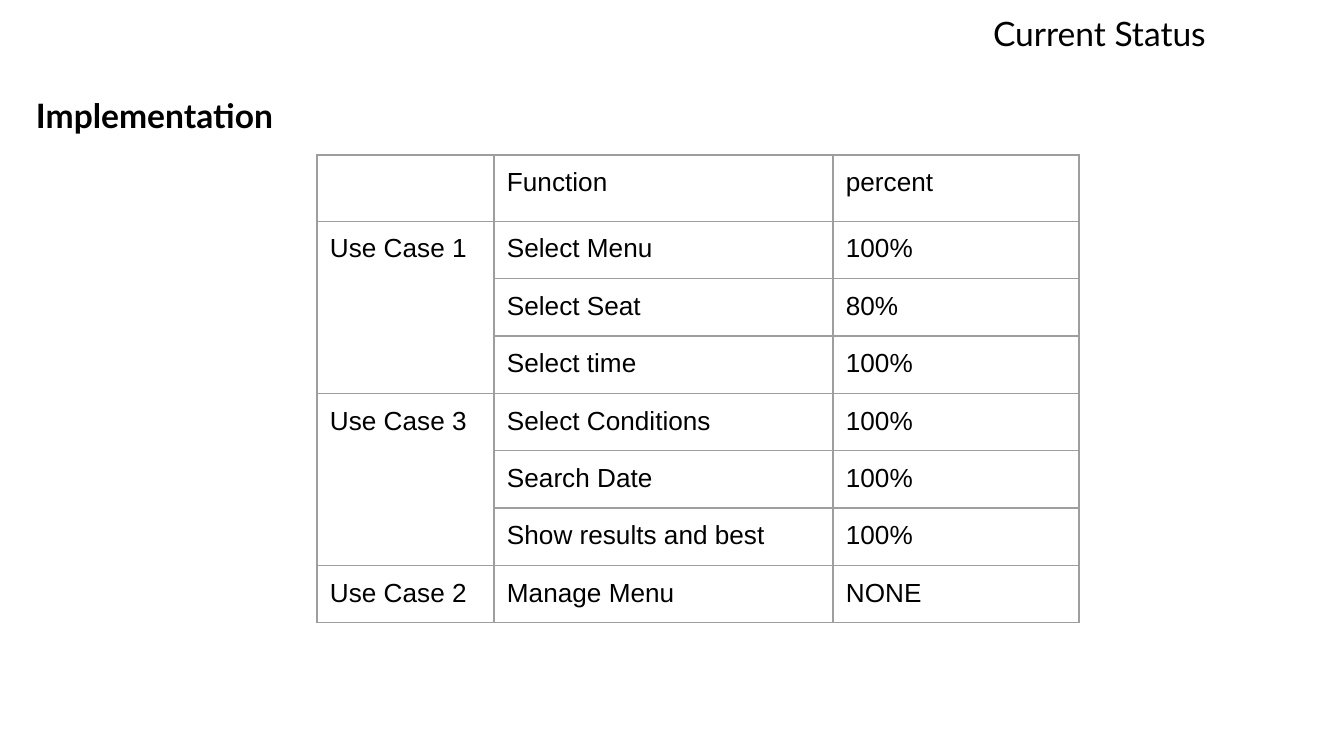
from lxml import etree
from pptx import Presentation
from pptx import util as u
from pptx.dml.color import RGBColor
from pptx.enum import text
from pptx.oxml.ns import qn

SCALE = 914400 / 134.4
INSET = 13
HEAD = {"name": "Lato", "size": u.Pt(18)}
BODY = {"name": "Arial", "size": u.Pt(14)}
COLS = [177, 339, 246]
ROWS = [64] + [56] * 7
CASES = [
    ("Use Case 1", [("Select Menu", "100%"), ("Select Seat", "80%"),
                    ("Select time", "100%")]),
    ("Use Case 3", [("Select Conditions", "100%"), ("Search Date", "100%"),
                    ("Show results and best", "100%")]),
    ("Use Case 2", [("Manage Menu", "NONE")]),
]


def px(n):
    return u.Emu(round(n * SCALE))


def color(code):
    return RGBColor.from_string(code)


def inset(item):
    for side in ("left", "top", "right", "bottom"):
        setattr(item, f"margin_{side}", px(INSET))


def write(frame, words, style):
    run = frame.paragraphs[0].add_run()
    run.text = words
    for key, value in style.items():
        setattr(run.font, key, value)
    run.font.color.rgb = color("000000")


def add_label(slide, box, words, style):
    frame = slide.shapes.add_textbox(*map(px, box)).text_frame
    inset(frame)
    frame.word_wrap = True
    frame.vertical_anchor = text.MSO_ANCHOR.TOP
    write(frame, words, style)


def add_edges(cell, code, width):
    props = cell._tc.get_or_add_tcPr()
    for tag in ("a:lnL", "a:lnR", "a:lnT", "a:lnB"):
        line = etree.SubElement(props, qn(tag), w=str(u.Pt(width)))
        fill = etree.SubElement(line, qn("a:solidFill"))
        etree.SubElement(fill, qn("a:srgbClr"), val=code)


def fill_cell(cell, words):
    inset(cell)
    add_edges(cell, "9E9E9E", 0.75)
    cell.fill.background()
    if words:
        write(cell.text_frame, words, BODY)


def add_status(slide, left, top):
    """Add the table of use cases, one merged first cell per case."""
    lines = [("", "Function", "percent")]
    spans = []
    for case, tasks in CASES:
        spans.append((len(lines), len(lines) + len(tasks) - 1))
        for i, task in enumerate(tasks):
            lines.append(("" if i else case, *task))
    box = (left, top, sum(COLS), sum(ROWS))
    table = slide.shapes.add_table(len(ROWS), len(COLS), *map(px, box)).table
    table.first_row = table.horz_banding = False
    for col, width in zip(table.columns, COLS):
        col.width = px(width)
    for row, height, line in zip(table.rows, ROWS, lines):
        row.height = px(height)
        for cell, words in zip(row.cells, line):
            fill_cell(cell, words)
    for first, last in spans:
        if last > first:
            table.cell(first, 0).merge(table.cell(last, 0))


def main():
    deck = Presentation()
    deck.slide_width, deck.slide_height = px(1344), px(756)
    slide = deck.slides.add_slide(deck.slide_layouts[6])
    add_label(slide, (980, 0, 390, 82), "Current Status", HEAD)
    add_status(slide, 317, 155)
    add_label(slide, (23, 82, 441, 441), "Implementation", {**HEAD, "bold": True})
    deck.save("out.pptx")


if __name__ == "__main__":
    main()
